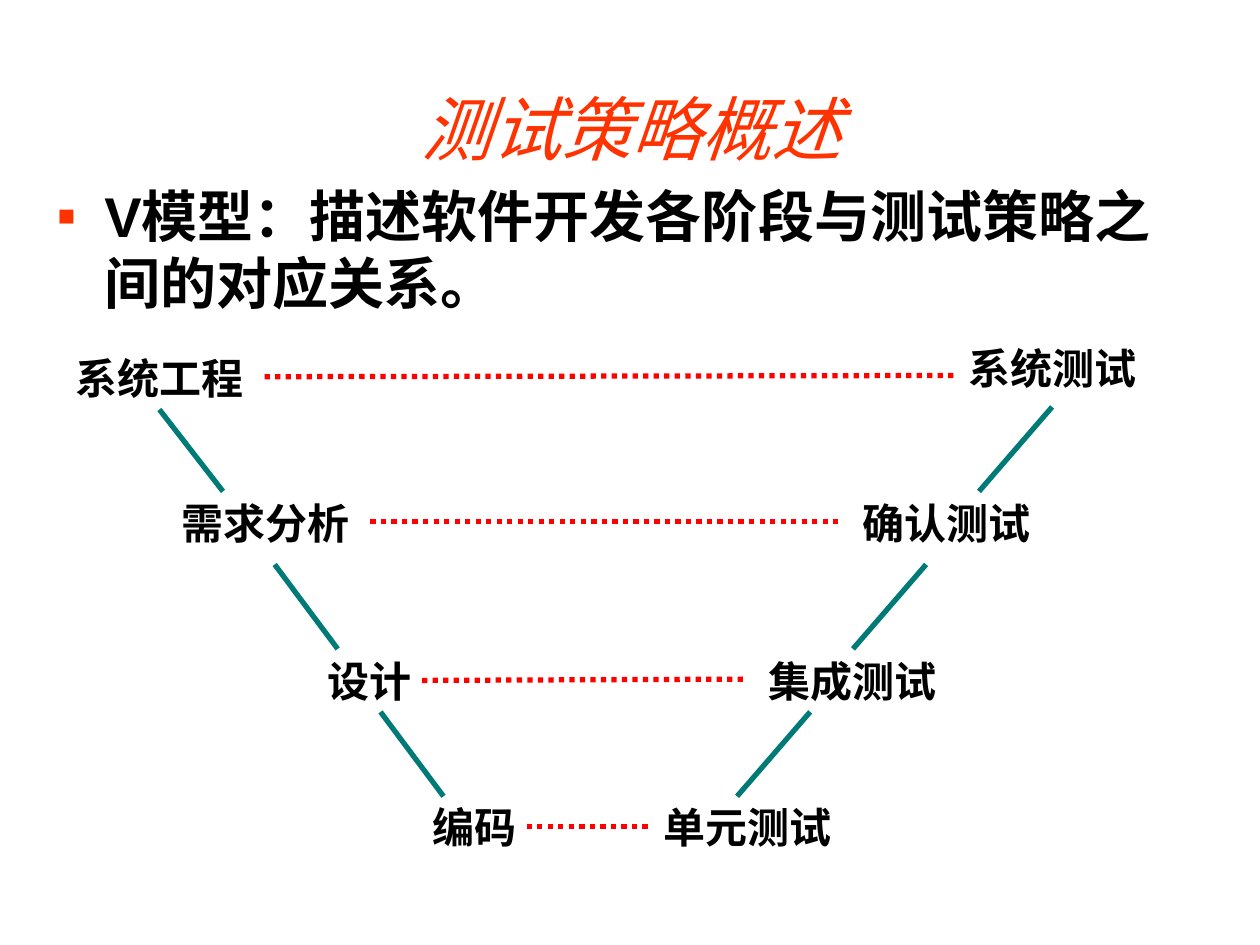
from lxml import etree
from pptx import Presentation
from pptx.dml.color import RGBColor
from pptx.enum import dml, shapes, text
from pptx.oxml.ns import qn
from pptx.util import Inches, Pt

COLORS = {"accent": "FF3300", "text": "000000", "slope": "007A77", "match": "FF0000"}
CJK = "Noto Sans CJK SC"

TITLE = "测试策略概述"
SUMMARY = "V模型：描述软件开发各阶段与测试策略之间的对应关系。"

STAGE_SIZE = (1.67, 0.52)
DEVELOPMENT = [
    ("系统工程", 0.43, 2.73),
    ("需求分析", 1.27, 3.88),
    ("设计", 2.1, 5.13),
    ("编码", 2.93, 6.29),
]
TESTING = [
    ("系统测试", 7.52, 2.65),
    ("确认测试", 6.68, 3.88),
    ("集成测试", 5.93, 5.13),
    ("单元测试", 5.1, 6.29),
]
SLOPE_TOPS = [3.23, 4.48, 5.65]
SLOPE_HEIGHT = 0.67
SLOPES = [([1.27, 2.18, 3.02], 0.5), ([8.35, 7.35, 6.43], -0.58)]
MATCHES = [(2.1, 7.6, 2.98), (2.93, 6.68, 4.15), (3.35, 5.93, 5.4), (4.18, 5.18, 6.56)]
JOIN_TOLERANCE = 0.03


def add_text(slide, words, box, size, color="text", latin=CJK, bold=False,
             italic=False, align=text.PP_ALIGN.CENTER, anchor=text.MSO_ANCHOR.MIDDLE,
             bullet=None):
    label = slide.shapes.add_textbox(*map(Inches, box))
    frame = label.text_frame
    frame.word_wrap = True
    frame.vertical_anchor = anchor
    paragraph = frame.paragraphs[0]
    paragraph.text = words
    paragraph.alignment = align
    if bullet:
        add_bullet(paragraph, bullet)
    font = paragraph.font
    font.size, font.bold, font.italic, font.name = Pt(size), bold, italic, latin
    font.color.rgb = RGBColor.from_string(COLORS[color])
    etree.SubElement(font._element, qn("a:ea"), typeface=CJK)
    return label


def add_bullet(paragraph, symbol):
    properties = paragraph._p.get_or_add_pPr()
    properties.set("marL", str(Inches(0.38)))
    properties.set("indent", str(-Inches(0.38)))
    color = etree.SubElement(properties, qn("a:buClr"))
    etree.SubElement(color, qn("a:srgbClr"), val=COLORS["accent"])
    etree.SubElement(properties, qn("a:buFont"), typeface="Arial")
    etree.SubElement(properties, qn("a:buChar"), char=symbol)


def add_line(slide, start, end, color, dash=None):
    line = slide.shapes.add_connector(
        shapes.MSO_CONNECTOR.STRAIGHT, *map(Inches, (*start, *end)))
    line.line.color.rgb = RGBColor.from_string(COLORS[color])
    line.line.width = Pt(3)
    if dash:
        line.line.dash_style = dash
    etree.SubElement(line._element.spPr, qn("a:effectLst"))
    return line


def touches(point, label, side):
    middle = label.left + label.width // 2, label.top + label.height // 2
    target = {
        1: (label.left, middle[1]),
        2: (middle[0], label.top + label.height),
        3: (label.left + label.width, middle[1]),
    }[side]
    return all(abs(Inches(p) - t) <= Inches(JOIN_TOLERANCE) for p, t in zip(point, target))


def add_stages(slide, stages):
    labels = []
    for words, left, top in stages:
        label = add_text(slide, words, (left, top, *STAGE_SIZE), 24, bold=True)
        label.text_frame.paragraphs[0].line_spacing = 1.05
        labels.append(label)
    return labels


def main():
    deck = Presentation()
    deck.slide_width, deck.slide_height = Inches(10), Inches(7.5)
    slide = deck.slides.add_slide(deck.slide_layouts[6])

    add_text(slide, SUMMARY, (0.35, 1.39, 9.25, 1.33), 32, latin="Arial", bold=True,
             align=text.PP_ALIGN.LEFT, anchor=text.MSO_ANCHOR.TOP, bullet="▪")
    sides = [add_stages(slide, stages) for stages in (DEVELOPMENT, TESTING)]

    for labels, (lefts, run) in zip(sides, SLOPES):
        for label, left, top in zip(labels, lefts, SLOPE_TOPS):
            start = left, top
            slope = add_line(slide, start, (left + run, top + SLOPE_HEIGHT), "slope")
            if touches(start, label, 2):
                slope.begin_connect(label, 2)

    for stage, test, (left, right, y) in zip(*sides, MATCHES):
        match = add_line(slide, (left, y), (right, y), "match",
                         dml.MSO_LINE.ROUND_DOT)
        if touches((left, y), stage, 3):
            match.begin_connect(stage, 3)
        if touches((right, y), test, 1):
            match.end_connect(test, 1)

    add_text(slide, TITLE, (0.83, 0.6, 8.36, 0.83), 40, color="accent", italic=True)
    deck.save("out.pptx")


if __name__ == "__main__":
    main()
